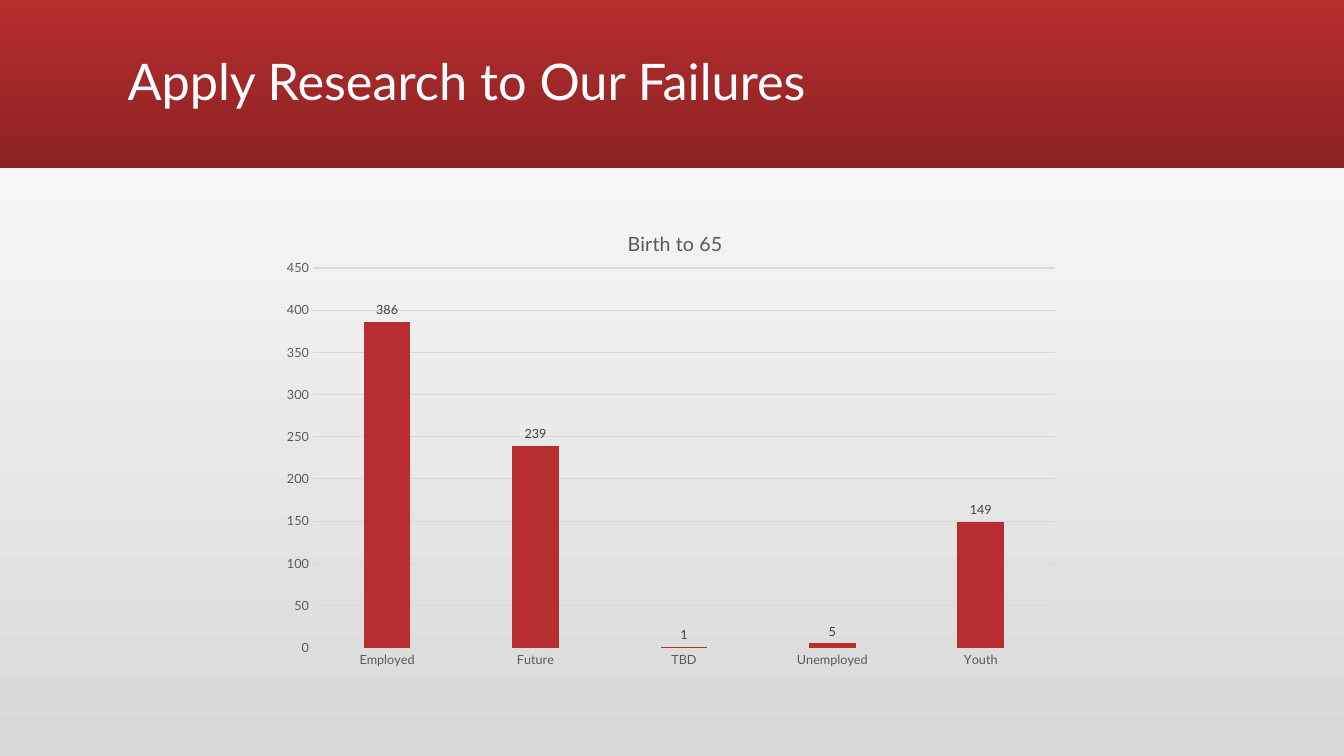
from lxml import etree
from pptx import Presentation
from pptx.chart.data import CategoryChartData
from pptx.dml.color import RGBColor
from pptx.enum.chart import XL_CHART_TYPE as ChartType
from pptx.enum.chart import XL_LABEL_POSITION as LabelPosition
from pptx.enum.chart import XL_TICK_MARK as TickMark
from pptx.enum.shapes import MSO_SHAPE as Shape
from pptx.enum.text import MSO_ANCHOR as Anchor
from pptx.enum.text import PP_ALIGN as Align
from pptx.oxml.ns import qn
from pptx.util import Inches, Pt

RED = RGBColor(0xB8, 0x2D, 0x2F)
DARK_RED = RGBColor(0x8A, 0x22, 0x23)
WHITE = RGBColor(0xFF, 0xFF, 0xFF)
LIGHT_GRAY = RGBColor(0xD9, 0xD9, 0xD9)
AXIS_GRAY = RGBColor(0x59, 0x59, 0x59)
LABEL_GRAY = RGBColor(0x40, 0x40, 0x40)
BLACK = RGBColor(0x00, 0x00, 0x00)

COLUMNS = 80
ROWS = 45
UPWARD = 90
DOWNWARD = 270


class SlideBuilder:
    font_name = "Lato"

    def __init__(self, presentation):
        self.column = presentation.slide_width / COLUMNS
        self.row = presentation.slide_height / ROWS
        self.slide = presentation.slides.add_slide(presentation.slide_layouts[6])

    def place(self, left, top, width, height):
        return (round(left * self.column), round(top * self.row),
                round(width * self.column), round(height * self.row))

    def style_font(self, font, size, color):
        font.name = self.font_name
        font.size = Pt(size)
        font.bold = False
        font.color.rgb = color

    def gradient(self, fill, colors, angle):
        fill.gradient()
        fill.gradient_angle = angle
        for stop, color in zip(fill.gradient_stops, colors):
            stop.color.rgb = color

    def background(self, colors, angle):
        self.gradient(self.slide.background.fill, colors, angle)

    def banner(self, cells, colors, angle):
        shape = self.slide.shapes.add_shape(Shape.RECTANGLE, *self.place(*cells))
        shape.shadow.inherit = False
        shape.line.fill.background()
        self.gradient(shape.fill, colors, angle)

    def text(self, cells, wording, size, color):
        frame = self.slide.shapes.add_textbox(*self.place(*cells)).text_frame
        frame.word_wrap = True
        frame.vertical_anchor = Anchor.MIDDLE
        frame.text = wording
        paragraph = frame.paragraphs[0]
        paragraph.alignment = Align.LEFT
        paragraph.line_spacing = 0.9
        self.style_font(paragraph.runs[0].font, size, color)

    def set_layout(self, element, **shares):
        layout = element.find(qn("c:layout"))
        if layout is None:
            layout = etree.Element(qn("c:layout"))
            element.insert(len(element.findall(qn("c:tx"))), layout)
        manual = etree.SubElement(layout, qn("c:manualLayout"))
        if "w" in shares:
            etree.SubElement(manual, qn("c:layoutTarget")).set("val", "inner")
        for name in ("xMode", "yMode"):
            etree.SubElement(manual, qn(f"c:{name}")).set("val", "edge")
        for name, share in shares.items():
            etree.SubElement(manual, qn(f"c:{name}")).set("val", str(share))

    def style_axis(self, axis):
        axis.major_tick_mark = TickMark.NONE
        axis.minor_tick_mark = TickMark.NONE
        self.style_font(axis.tick_labels.font, 9, AXIS_GRAY)

    def style_line(self, line):
        line.color.rgb = LIGHT_GRAY
        line.width = Pt(0.75)

    def column_chart(self, cells, title, values):
        data = CategoryChartData()
        data.categories = values.keys()
        data.add_series("Series 1", values.values())
        chart = self.slide.shapes.add_chart(
            ChartType.COLUMN_CLUSTERED, *self.place(*cells), data).chart
        self.style_font(chart.font, 10, BLACK)
        chart.has_legend = False

        chart.has_title = True
        title_frame = chart.chart_title.text_frame
        title_frame.text = title
        self.style_font(title_frame.paragraphs[0].runs[0].font, 14, AXIS_GRAY)
        chart_element = chart.element.chart
        self.set_layout(chart_element.find(qn("c:title")), x=0.44, y=0.05)
        self.set_layout(chart_element.plotArea, x=0.05, y=0.14, w=0.93, h=0.8)

        self.style_axis(chart.category_axis)
        self.style_line(chart.category_axis.format.line)
        value_axis = chart.value_axis
        self.style_axis(value_axis)
        value_axis.minimum_scale = 0
        value_axis.maximum_scale = 450
        value_axis.major_unit = 50
        value_axis.format.line.fill.background()
        self.style_line(value_axis.major_gridlines.format.line)

        plot = chart.plots[0]
        plot.vary_by_categories = False
        plot.gap_width = 219
        plot.overlap = -27
        plot.has_data_labels = True
        labels = plot.data_labels
        labels.show_value = True
        labels.position = LabelPosition.OUTSIDE_END
        self.style_font(labels.font, 9, LABEL_GRAY)
        bars = plot.series[0]
        bars.invert_if_negative = False
        bars.format.fill.solid()
        bars.format.fill.fore_color.rgb = RED


def main():
    presentation = Presentation()
    presentation.slide_width = Inches(13.33)
    presentation.slide_height = Inches(7.5)
    builder = SlideBuilder(presentation)
    builder.background((LIGHT_GRAY, WHITE), UPWARD)
    builder.banner((0, 0, COLUMNS, 10), (RED, DARK_RED), DOWNWARD)
    builder.text((7, 0.66, 66, 8.7), "Apply Research to Our Failures", 36, WHITE)
    builder.column_chart((16.25, 12, 47.5, 28.25), "Birth to 65", {
        "Employed": 386, "Future": 239, "TBD": 1, "Unemployed": 5, "Youth": 149})
    presentation.save("out.pptx")


if __name__ == "__main__":
    main()
